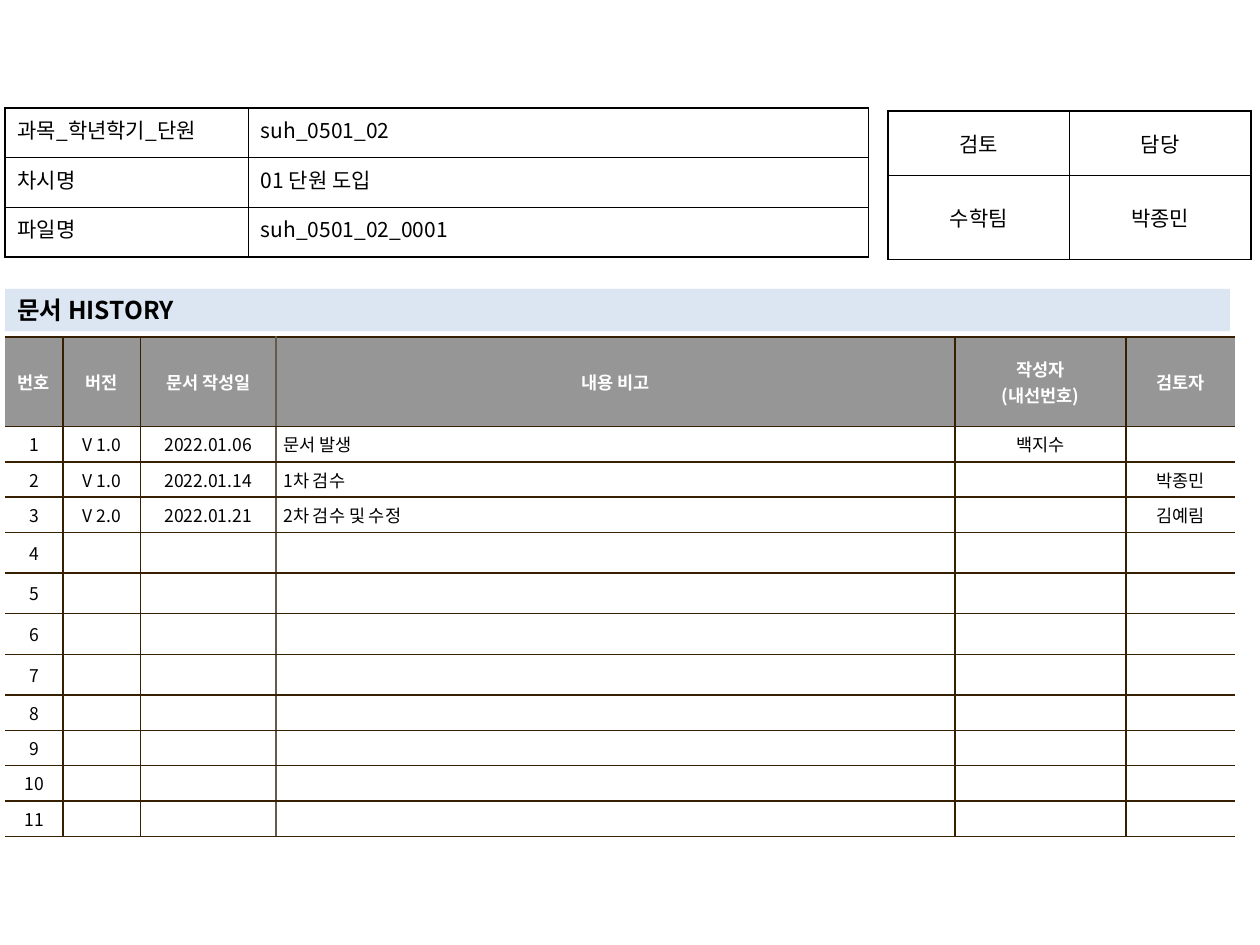
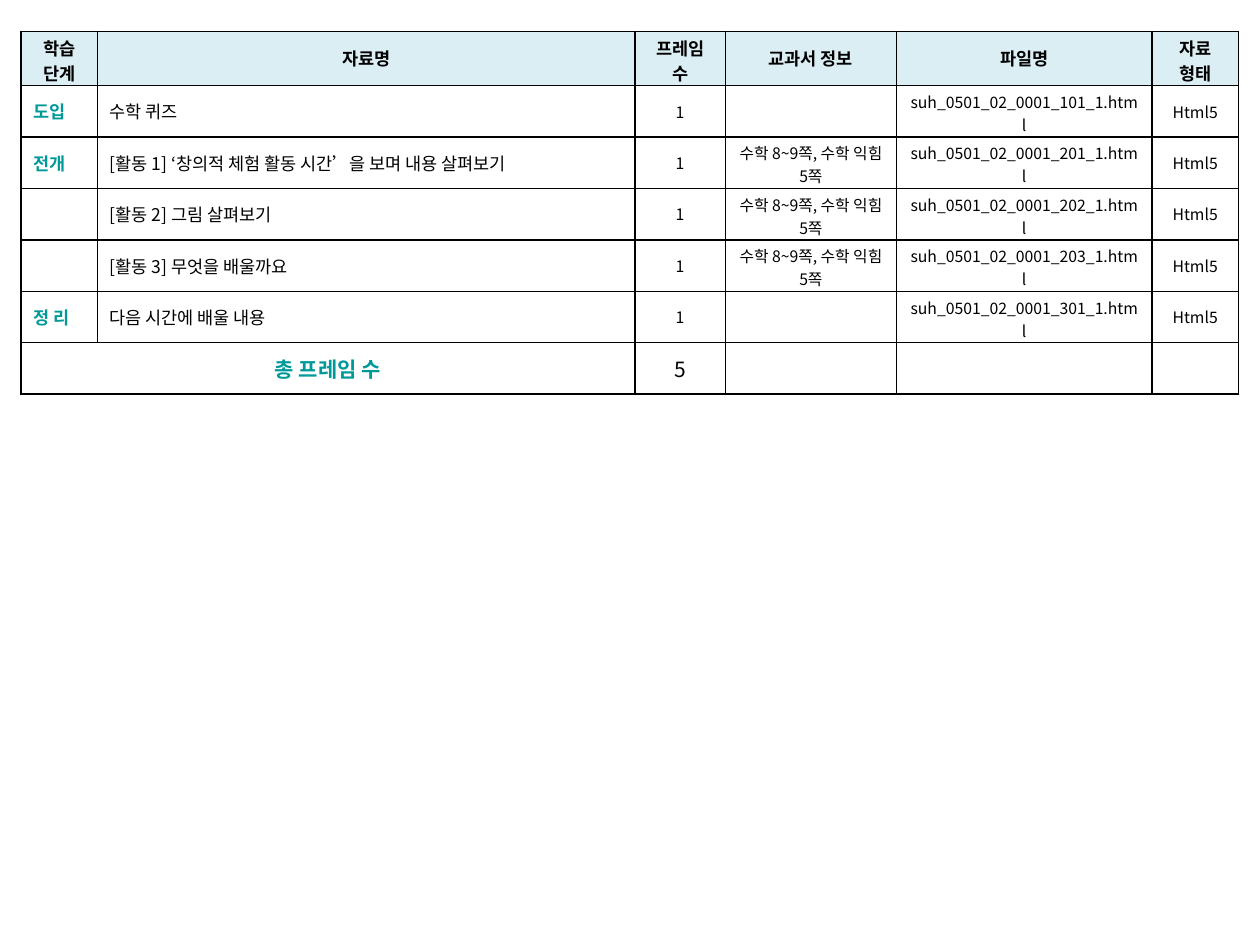
import pptx
import pptx.dml.color
import pptx.enum.shapes
import pptx.enum.text
import pptx.oxml
import pptx.oxml.ns
import pptx.util

Pt = pptx.util.Pt
ALIGN = pptx.enum.text.PP_ALIGN
ANCHOR = pptx.enum.text.MSO_ANCHOR

FONT = "Noto Sans CJK KR"
BLACK, WHITE, TEAL = "000000", "FFFFFF", "009999"
BROWN, LIGHT_BROWN = "362000", "645B4C"
GREY, PALE_BLUE, PALE_TEAL = "969696", "DCE6F2", "DBEEF4"
ALL_SIDES = dict.fromkeys("LRTB", BLACK)


def color(hex_value):
    return pptx.dml.color.RGBColor.from_string(hex_value)


class Sheet:
    """Holds the deck, the current slide and the shared style."""

    def __init__(self):
        self.deck = pptx.Presentation()
        self.deck.slide_width, self.deck.slide_height = Pt(720), Pt(540)
        self.page = None

    def new_page(self):
        self.page = self.deck.slides.add_slide(self.deck.slide_layouts[6])

    def set_text(self, frame, text, size=12, ink=BLACK, bold=False, align=ALIGN.LEFT):
        """Fill a text frame, one paragraph for each line of text."""
        frame.text = text
        for para in frame.paragraphs:
            para.alignment = align
            font = para.font
            font.size, font.bold, font.name = Pt(size), bold, FONT
            font.color.rgb = color(ink)
            if not text:
                end = pptx.oxml.parse_xml(
                    f'<a:endParaRPr {pptx.oxml.ns.nsdecls("a")} sz="{size * 100}"/>')
                para._p.append(end)

    def banner(self, left, top, width, height, text):
        box = self.page.shapes.add_shape(
            pptx.enum.shapes.MSO_SHAPE.RECTANGLE, Pt(left), Pt(top), Pt(width), Pt(height))
        box.shadow.inherit = False
        box.fill.solid()
        box.fill.fore_color.rgb = color(PALE_BLUE)
        box.line.fill.background()
        self.set_text(box.text_frame, text, size=14, bold=True)

    def borders(self, cell, sides):
        """Draw 1 pt lines on the sides given as {"L": colour}; hide the others."""
        properties = cell._tc.get_or_add_tcPr()
        for index, side in enumerate("LRTB"):
            ink = sides.get(side)
            paint = (f'<a:solidFill><a:srgbClr val="{ink}"/></a:solidFill>'
                     if ink else "<a:noFill/>")
            line = pptx.oxml.parse_xml(
                f'<a:ln{side} {pptx.oxml.ns.nsdecls("a")} w="12700">{paint}</a:ln{side}>')
            properties.insert(index, line)

    def table(self, left, top, widths, heights, rows, style):
        """style(row, column) gives text options plus fill, sides, anchor and margins."""
        frame = self.page.shapes.add_table(
            len(heights), len(widths), Pt(left), Pt(top), Pt(sum(widths)), Pt(sum(heights)))
        grid = frame.table
        grid.first_row = grid.horz_banding = False
        for column, width in zip(grid.columns, widths):
            column.width = Pt(width)
        for line, height in zip(grid.rows, heights):
            line.height = Pt(height)
        for row, texts in enumerate(rows):
            for column, text in enumerate(texts):
                self.cell(grid.cell(row, column), text, **style(row, column))
        return grid

    def cell(self, cell, text, fill=None, sides=ALL_SIDES, anchor=ANCHOR.MIDDLE,
             margins=(7.2, 3.6, 3.6), **text_options):
        """margins holds the side, top and bottom insets."""
        side, top, bottom = margins
        cell.margin_left = cell.margin_right = Pt(side)
        cell.margin_top, cell.margin_bottom = Pt(top), Pt(bottom)
        cell.vertical_anchor = anchor
        if fill:
            cell.fill.solid()
            cell.fill.fore_color.rgb = color(fill)
        else:
            cell.fill.background()
        self.borders(cell, sides)
        self.set_text(cell.text_frame, text, **text_options)


def info_style(row, column):
    return {"anchor": ANCHOR.TOP, "align": ALIGN.LEFT if column else ALIGN.JUSTIFY}


def review_style(row, column):
    return {"align": ALIGN.CENTER}


def history_style(row, column):
    sides = dict.fromkeys("LRTB", BROWN)
    if column == 0:
        del sides["L"]
    elif column == 2:
        sides["R"] = LIGHT_BROWN
    elif column == 3:
        sides["L"] = LIGHT_BROWN
    elif column == 5:
        del sides["R"]
    header = row == 0
    return {
        "fill": GREY if header else WHITE,
        "ink": WHITE if header else BLACK,
        "bold": header,
        "size": 10,
        "align": ALIGN.LEFT if column == 3 and not header else ALIGN.CENTER,
        "sides": sides,
        "margins": (4.3, 2.9, 2.9),
    }


TOTAL_ROW = 6


def lesson_style(row, column):
    style = {"size": 10 if column < 2 else 9, "align": ALIGN.CENTER}
    two_lines = False
    if row == 0:
        style.update(size=10, bold=True, fill=PALE_TEAL)
        two_lines = column in (0, 2, 5)
    elif row == TOTAL_ROW:
        if column == 0:
            style.update(ink=TEAL, bold=True)
        if column < 3:
            style["size"] = 12
    elif column == 0:
        style.update(ink=TEAL, bold=True, align=ALIGN.JUSTIFY)
    elif column == 1:
        style["align"] = ALIGN.LEFT
    else:
        two_lines = column in (3, 4)
    if two_lines:
        style["margins"] = (7.2, 2, 0)
    return style


def history_page(sheet):
    sheet.new_page()
    history = [
        ["번호", "버전", "문서 작성일", "내용 비고", "작성자\n(내선번호)", "검토자"],
        ["1", "V 1.0", "2022.01.06", "문서 발생", "백지수", ""],
        ["2", "V 1.0", "2022.01.14", "1차 검수", "", "박종민"],
        ["3", "V 2.0", "2022.01.21", "2차 검수 및 수정", "", "김예림"],
    ]
    history += [[str(number)] + [""] * 5 for number in range(4, 12)]
    sheet.table(2.9, 192.7, [33.1, 44.2, 77.5, 388, 97.8, 62.3],
                [51] + [20] * 3 + [23.2] * 4 + [20] * 4, history, history_style)
    sheet.table(507.5, 63.3, [103.7] * 2, [37, 48],
                [["검토", "담당"], ["수학팀", "박종민"]], review_style)
    sheet.banner(2.9, 165, 700, 24.3, "문서 HISTORY")
    info = [
        ["과목_학년학기_단원", "suh_0501_02"],
        ["차시명", "01 단원 도입"],
        ["파일명", "suh_0501_02_0001"],
    ]
    sheet.table(2.9, 61.7, [139, 354.3], [28.4] * 3, info, info_style)


def lesson_page(sheet):
    sheet.new_page()
    textbook = "수학 8~9쪽, 수학 익힘 5쪽"
    lessons = [
        ("도입", "수학 퀴즈", "", 101),
        ("전개", "[활동 1] ‘창의적 체험 활동 시간’을 보며 내용 살펴보기", textbook, 201),
        ("", "[활동 2] 그림 살펴보기", textbook, 202),
        ("", "[활동 3] 무엇을 배울까요", textbook, 203),
        ("정 리", "다음 시간에 배울 내용", "", 301),
    ]
    rows = [["학습 단계", "자료명", "프레임 수", "교과서 정보", "파일명", "자료\n형태"]]
    rows += [[step, title, "1", pages, f"suh_0501_02_0001_{code}_1.html", "Html5"]
             for step, title, pages, code in lessons]
    rows.append(["총 프레임 수", "", str(len(lessons)), "", "", ""])
    grid = sheet.table(11.9, 17.9, [43.7, 307.2, 51.7, 97.8, 146, 49.4],
                       [31] + [29.4] * 6, rows, lesson_style)
    grid.cell(TOTAL_ROW, 0).merge(grid.cell(TOTAL_ROW, 1))


def main():
    sheet = Sheet()
    history_page(sheet)
    lesson_page(sheet)
    sheet.deck.save("out.pptx")


if __name__ == "__main__":
    main()
